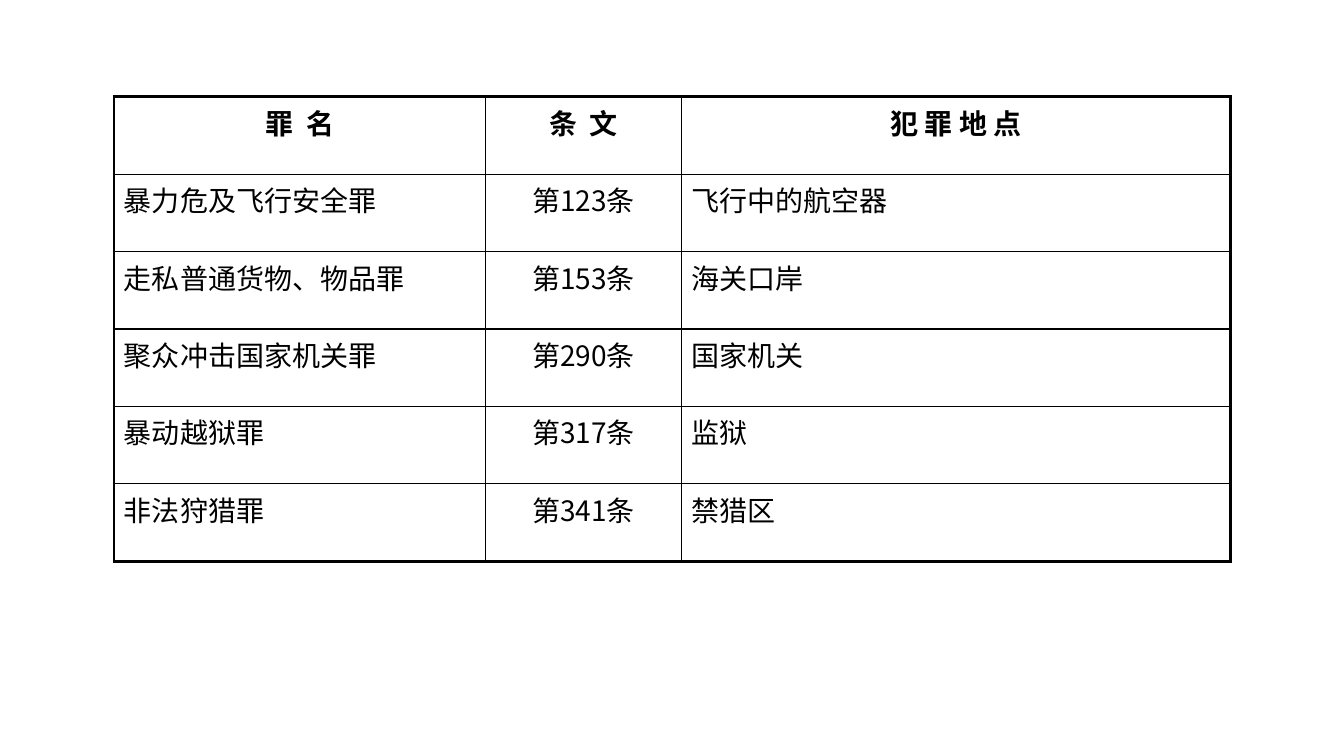
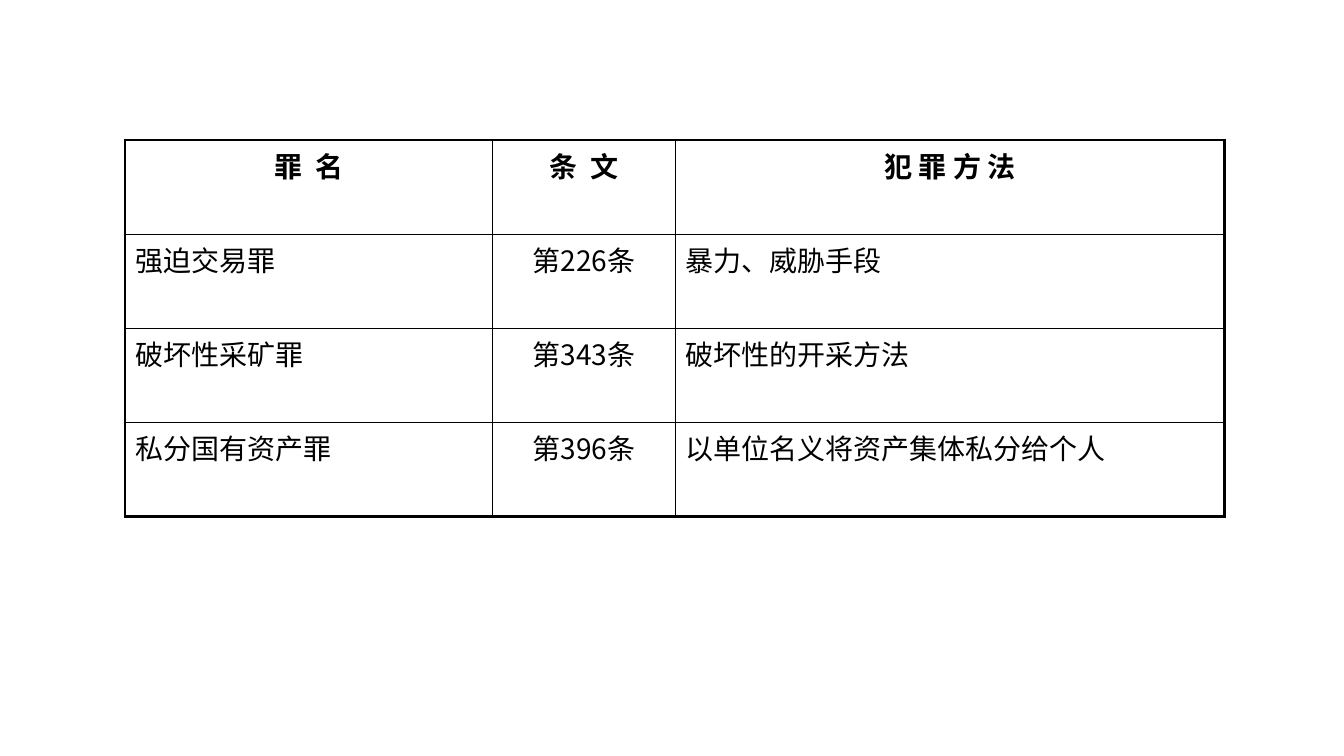
from dataclasses import dataclass

from lxml.etree import SubElement
from pptx import Presentation
from pptx.dml.color import RGBColor
from pptx.enum.text import MSO_ANCHOR as Anchor, PP_ALIGN as Align
from pptx.oxml.ns import qn
from pptx.util import Cm, Pt


@dataclass(frozen=True)
class Theme:
    ink: str = "000000"
    font: str = "Noto Sans CJK SC"
    text_size: float = 20
    header_spacing: float = 2.25
    thin_line: float = 1
    frame_line: float = 2.25


@dataclass(frozen=True)
class CrimeTable:
    """A table of crimes; lengths are in centimetres."""
    left: float
    top: float
    column_widths: tuple[float, ...]
    row_height: float
    place_or_method: str
    crimes: tuple[tuple[str, str, str], ...]


THEME = Theme()

TABLES = (
    CrimeTable(2.87, 2.44, (9.37, 4.93, 13.84), 1.95, "犯 罪 地 点", (
        ("暴力危及飞行安全罪", "第123条", "飞行中的航空器"),
        ("走私普通货物、物品罪", "第153条", "海关口岸"),
        ("聚众冲击国家机关罪", "第290条", "国家机关"),
        ("暴动越狱罪", "第317条", "监狱"),
        ("非法狩猎罪", "第341条", "禁猎区"),
    )),
    CrimeTable(3.15, 3.53, (9.27, 4.6, 13.84), 2.37, "犯 罪 方 法", (
        ("强迫交易罪", "第226条", "暴力、威胁手段"),
        ("破坏性采矿罪", "第343条", "破坏性的开采方法"),
        ("私分国有资产罪", "第396条", "以单位名义将资产集体私分给个人"),
    )),
)


def write_text(cell, text: str, *, bold: bool = False, align=Align.LEFT,
               spacing: float = 0) -> None:
    paragraph = cell.text_frame.paragraphs[0]
    paragraph.alignment = align
    run = paragraph.add_run()
    run.text = text
    font = run.font
    font.size, font.bold, font.name = Pt(THEME.text_size), bold, THEME.font
    font.color.rgb = RGBColor.from_string(THEME.ink)
    properties = run._r.get_or_add_rPr()
    SubElement(properties, qn("a:ea")).set("typeface", THEME.font)
    if spacing:
        properties.set("spc", str(int(spacing * 100)))


def set_borders(cell, on_frame: dict[str, bool]) -> None:
    """Draw each side, heavier where it lies on the table frame."""
    properties = cell._tc.get_or_add_tcPr()
    for position, (side, is_frame) in enumerate(on_frame.items()):
        width = THEME.frame_line if is_frame else THEME.thin_line
        line = SubElement(properties, qn(f"a:ln{side}"), w=str(Pt(width)))
        fill = SubElement(line, qn("a:solidFill"))
        SubElement(fill, qn("a:srgbClr"), val=THEME.ink)
        properties.insert(position, line)  # borders come before the fill


def draw_table(slide, content: CrimeTable) -> None:
    rows = (("罪 名", "条 文", content.place_or_method), *content.crimes)
    last_row, last_column = len(rows) - 1, len(content.column_widths) - 1
    table = slide.shapes.add_table(
        len(rows), len(content.column_widths), Cm(content.left), Cm(content.top),
        Cm(sum(content.column_widths)), Cm(content.row_height * len(rows))).table
    table.first_row = table.horz_banding = False

    for column, width in zip(table.columns, content.column_widths):
        column.width = Cm(width)
    for row in table.rows:
        row.height = Cm(content.row_height)

    for r, texts in enumerate(rows):
        for c, text in enumerate(texts):
            cell = table.cell(r, c)
            cell.vertical_anchor = Anchor.TOP
            cell.fill.background()
            is_header = r == 0
            # The two short headings are spread wider
            write_text(cell, text, bold=is_header,
                       align=Align.CENTER if is_header or c == 1 else Align.LEFT,
                       spacing=THEME.header_spacing if is_header and c < 2 else 0)
            set_borders(cell, {"L": c == 0, "R": c == last_column,
                               "T": r == 0, "B": r == last_row})


def main() -> None:
    presentation = Presentation()
    presentation.slide_width, presentation.slide_height = Cm(33.87), Cm(19.05)
    blank_layout = presentation.slide_layouts[6]

    # One table per slide
    for content in TABLES:
        draw_table(presentation.slides.add_slide(blank_layout), content)

    presentation.save("out.pptx")


if __name__ == "__main__":
    main()
